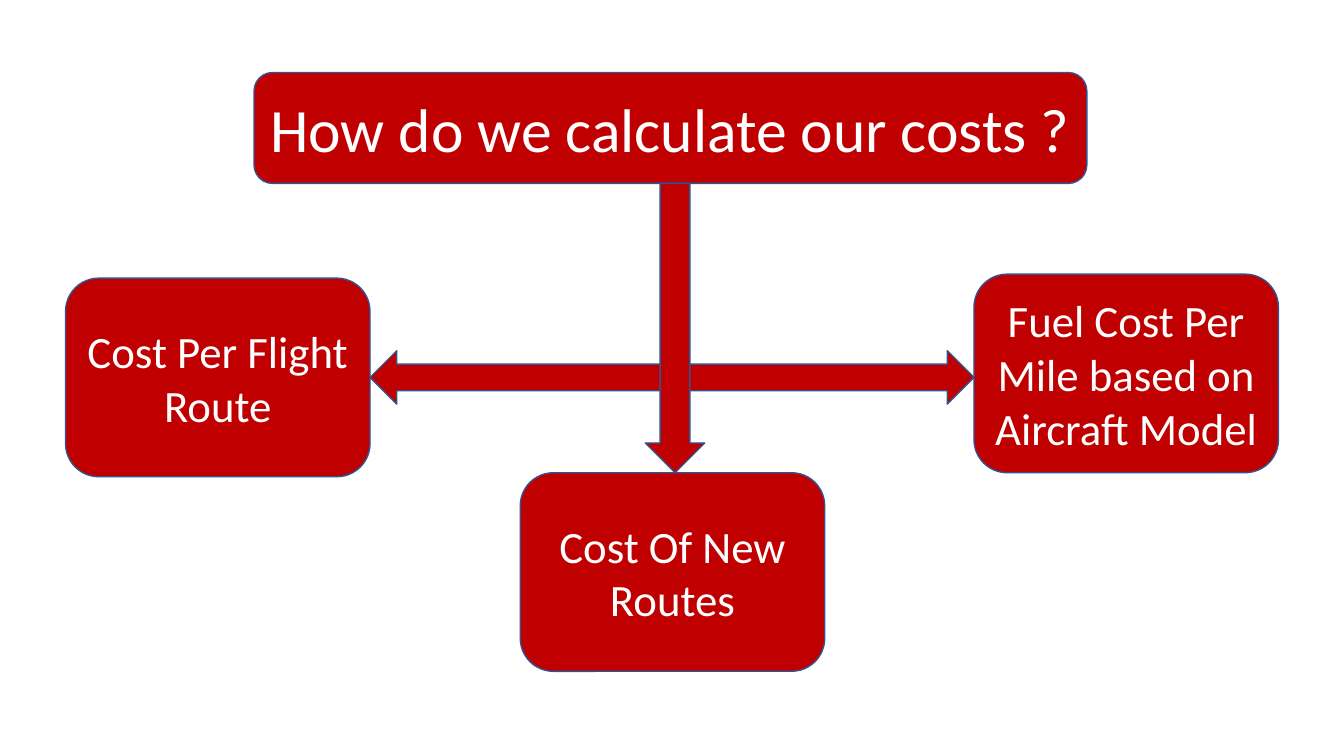
from pptx import Presentation, util as u
from pptx.dml.color import RGBColor
from pptx.enum import shapes, text

RED = RGBColor(0xC0, 0x00, 0x00)
BLUE = RGBColor(0x32, 0x54, 0x91)
WHITE = RGBColor(0xFF, 0xFF, 0xFF)
CARD_WIDTH, CARD_HEIGHT = 3.02, 1.97


def write_text(frame, content, *, size, color=WHITE, font="Calibri"):
    """Fill a text frame with one centred paragraph."""
    frame.word_wrap = True
    frame.vertical_anchor = text.MSO_ANCHOR.MIDDLE
    paragraph = frame.paragraphs[0]
    paragraph.alignment = text.PP_ALIGN.CENTER
    run = paragraph.add_run()
    run.text = content
    run.font.name = font
    run.font.size = u.Pt(size)
    run.font.color.rgb = color


class CostDiagram:
    fill = RED
    outline = BLUE

    def __init__(self, slide):
        self.slide = slide

    def block(self, kind, left, top, width, height):
        """Add a filled, outlined preset shape."""
        shape = self.slide.shapes.add_shape(
            kind, u.Inches(left), u.Inches(top), u.Inches(width), u.Inches(height))
        shape.shadow.inherit = False
        shape.fill.solid()
        shape.fill.fore_color.rgb = self.fill
        shape.line.color.rgb = self.outline
        shape.line.width = u.Pt(1)
        return shape

    def box(self, content, left, top, width=CARD_WIDTH, height=CARD_HEIGHT, size=32):
        shape = self.block(shapes.MSO_SHAPE.ROUNDED_RECTANGLE, left, top, width, height)
        write_text(shape.text_frame, content, size=size)

    def side_arrow(self, left, top, width, height):
        self.block(shapes.MSO_SHAPE.LEFT_RIGHT_ARROW, left, top, width, height)

    def down_arrow(self, left, top, width, height):
        self.block(shapes.MSO_SHAPE.DOWN_ARROW, left, top, width, height)


def main():
    presentation = Presentation()
    presentation.slide_width = u.Inches(13.33)
    presentation.slide_height = u.Inches(7.5)
    diagram = CostDiagram(presentation.slides.add_slide(presentation.slide_layouts[6]))

    diagram.box("How do we calculate our costs ?", 2.52, 0.72, 8.26, 1.1, size=44)
    for content, left, top in (
        ("Cost Per Flight Route", 0.65, 2.76),
        ("Cost Of New Routes", 5.16, 4.69),
        ("Fuel Cost Per Mile based on Aircraft Model", 9.66, 2.72),
    ):
        diagram.box(content, left, top)
    diagram.side_arrow(3.67, 3.48, 5.99, 0.53)
    diagram.down_arrow(6.4, 1.82, 0.59, 2.87)

    presentation.save("out.pptx")


if __name__ == "__main__":
    main()
